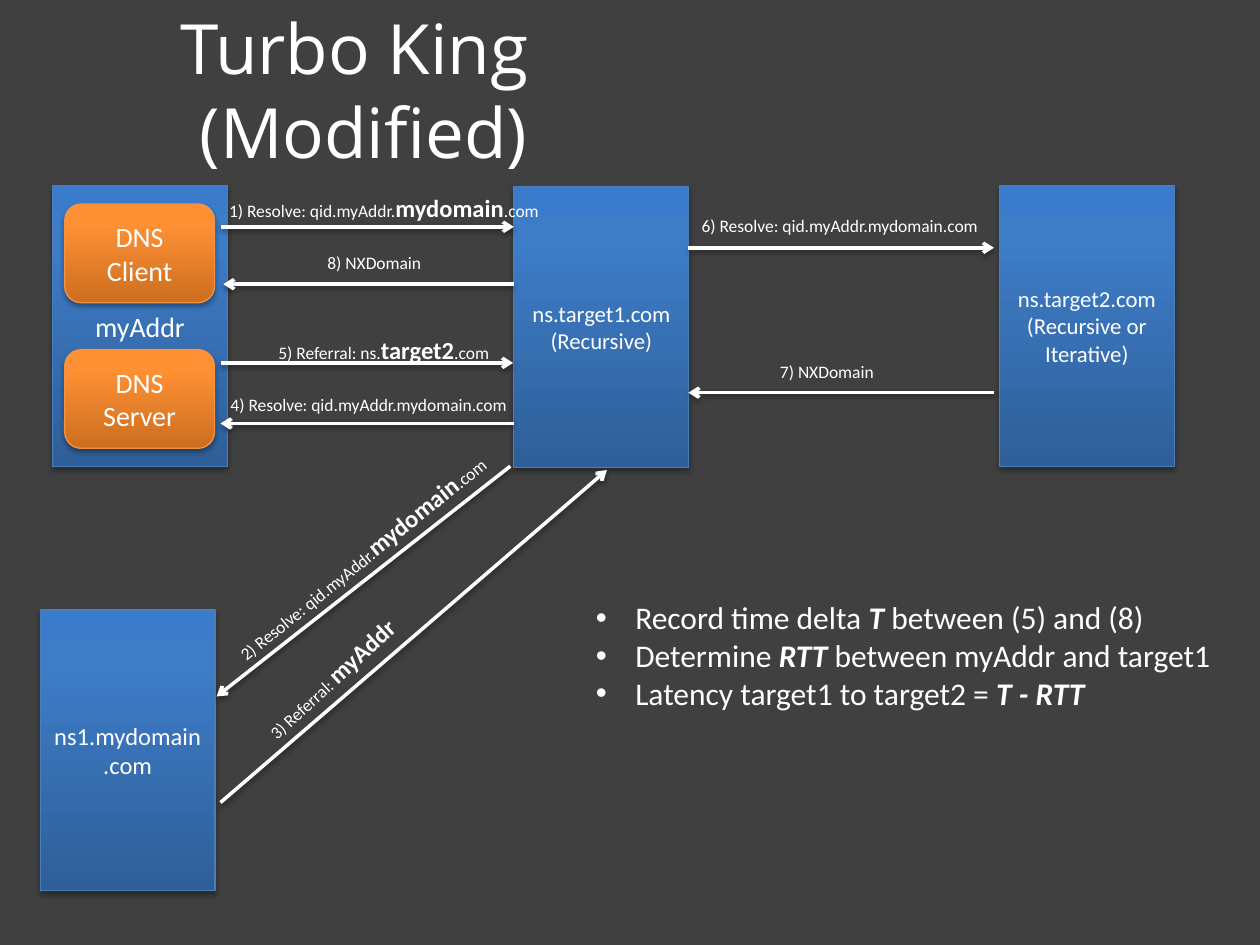
from copy import deepcopy

from lxml import etree
from pptx import Presentation
from pptx import util as u
from pptx.dml.color import RGBColor
from pptx.enum import shapes, text
from pptx.oxml.ns import qn

COLORS = {"back": "404040", "white": "FFFFFF", "shadow": "000000",
          "host edge": "4B7EBC", "service edge": "F69240"}
GRADIENTS = {
    "host": ((0, "2F5F99"), (0.8, "3D7CC7"), (1, "3A7CCB")),
    "service": ((0, "CC6E20"), (0.8, "FF9034"), (1, "FF9136")),
}
FONT = "Calibri"
TITLE = "Turbo King  (Modified)"
TITLE_BOX = (2.2, 21.6, 411, 58.3)
HOST_SIZE, SERVICE_SIZE = (100, 160.5), (85.6, 56.4)

# kind, left, top, text size, lines
NODES = [
    ("host", 30, 106, 16, ["myAddr"]),
    ("service", 37, 116.6, 16, ["DNS Client"]),
    ("service", 37, 199.8, 16, ["DNS Server"]),
    ("host", 293.6, 106.6, 13, ["ns.target1.com", "(Recursive)"]),
    ("host", 571, 106, 13, ["ns.target2.com", "(Recursive or Iterative)"]),
    ("host", 23, 348.6, 14, ["ns1.mydomain.com"]),
]

# arrow start, arrow end, label left and top, label rotation, (text, style) runs
MESSAGES = [
    ((126, 129.6), (293.6, 129.6), (123.8, 106.6), 0,
     [("1) Resolve: qid.myAddr.", ""), ("mydomain", "b"), (".com", "")]),
    ((291.6, 266.4), (123.8, 398), (108, 298), -38.8,
     [("2) Resolve: qid.myAddr.", ""), ("mydomain", "b"), (".com", "")]),
    ((126, 458.6), (346.8, 268.6), (121, 338.4), -42.4,
     [("3) Referral: ", ""), ("myAddr", "b")]),
    ((293.6, 242), (126, 242), (124.6, 221.8), 0,
     [("4) Resolve: qid.myAddr.mydomain.com", "")]),
    ((126, 207.4), (293.2, 207.4), (152, 188), 0,
     [("5) Referral: ns.", ""), ("target2", "b"), (".com", "")]),
    ((393.4, 141.6), (568, 141.6), (393.8, 119.6), 0,
     [("6) Resolve: qid.myAddr.mydomain.com", "")]),
    ((568, 224.4), (393.4, 224.4), (438.6, 203), 0, [("7) NXDomain", "")]),
    ((293.6, 162.4), (127.6, 162.4), (180, 140.4), 0, [("8) NXDomain", "")]),
]
LABEL_WIDTH, LABEL_HEIGHT, STRONG_HEIGHT = 218, 19.4, 24.4
LABEL_SIZE, STRONG_SIZE = 10, 14

METHOD_BOX = (333.4, 338.4, 381, 116.6)
METHOD = [
    [("Record time delta ", ""), ("T", "bi"), (" between (5) and (8)", "")],
    [("Determine ", ""), ("RTT ", "bi"), ("between myAddr and target1", "")],
    [("Latency target1 to target2 = ", ""), ("T - RTT", "bi")],
]


def rgb(name):
    """Colour from a name in COLORS or from a hex string."""
    return RGBColor.from_string(COLORS.get(name, name))


def points(*lengths):
    """Convert numbers to point lengths."""
    return [u.Pt(length) for length in lengths]


def add_run(paragraph, words, size, style="", font=FONT):
    """Add one white run; style holds b for bold and i for italic."""
    run = paragraph.add_run()
    run.text = words
    run.font.name, run.font.size = font, u.Pt(size)
    run.font.bold, run.font.italic = "b" in style, "i" in style
    run.font.color.rgb = rgb("white")


def paragraphs(frame, count):
    """Return count paragraphs of a wrapped text frame."""
    frame.word_wrap = True
    return [frame.paragraphs[0]] + [frame.add_paragraph() for _ in range(count - 1)]


def add_shadow(part, opacity, distance):
    """Give a shape or connector a soft shadow falling straight down."""
    properties = part._element.spPr
    effects = properties.find(qn("a:effectLst"))
    if effects is None:
        effects = etree.SubElement(properties, qn("a:effectLst"))
    outer = etree.SubElement(effects, qn("a:outerShdw"), blurRad=str(u.Pt(3.1)),
                             dist=str(u.Pt(distance)), dir="5400000", rotWithShape="0")
    color = etree.SubElement(outer, qn("a:srgbClr"), val=COLORS["shadow"])
    etree.SubElement(color, qn("a:alpha"), val=str(opacity * 1000))


def fill_gradient(node, stops):
    """Fill a node with a three-stop gradient that runs upwards."""
    node.fill.gradient()
    node.fill.gradient_angle = 90
    stop_list = node._element.spPr.find(qn("a:gradFill")).find(qn("a:gsLst"))
    stop_list.append(deepcopy(stop_list[-1]))
    for stop, (position, color) in zip(node.fill.gradient_stops, stops):
        stop.position, stop.color.rgb = position, rgb(color)


def add_node(slide, kind, left, top, size, lines):
    """Draw a host or a service with centred text."""
    outline, extent = {
        "host": (shapes.MSO_SHAPE.RECTANGLE, HOST_SIZE),
        "service": (shapes.MSO_SHAPE.ROUNDED_RECTANGLE, SERVICE_SIZE),
    }[kind]
    node = slide.shapes.add_shape(outline, *points(left, top, *extent))
    fill_gradient(node, GRADIENTS[kind])
    node.line.color.rgb, node.line.width = rgb(kind + " edge"), u.Pt(0.75)
    node.shadow.inherit = False
    add_shadow(node, 35, 1.8)
    node.text_frame.vertical_anchor = text.MSO_ANCHOR.MIDDLE
    for paragraph, line in zip(paragraphs(node.text_frame, len(lines)), lines):
        paragraph.alignment = text.PP_ALIGN.CENTER
        add_run(paragraph, line, size)


def add_message(slide, start, end, corner, rotation, runs):
    """Draw a message arrow and its label."""
    arrow = slide.shapes.add_connector(shapes.MSO_CONNECTOR.STRAIGHT, *points(*start, *end))
    arrow.line.color.rgb, arrow.line.width = rgb("white"), u.Pt(2)
    etree.SubElement(arrow._element.spPr.find(qn("a:ln")), qn("a:tailEnd"), type="arrow")
    add_shadow(arrow, 38, 1.6)
    height = STRONG_HEIGHT if any(style for _, style in runs) else LABEL_HEIGHT
    label = slide.shapes.add_textbox(*points(*corner, LABEL_WIDTH, height))
    label.rotation = rotation
    paragraph, = paragraphs(label.text_frame, 1)
    for words, style in runs:
        add_run(paragraph, words, STRONG_SIZE if style else LABEL_SIZE, style)


def add_method(slide):
    """Write the bulleted measuring method."""
    method = slide.shapes.add_textbox(*points(*METHOD_BOX))
    for paragraph, runs in zip(paragraphs(method.text_frame, len(METHOD)), METHOD):
        properties = paragraph._p.get_or_add_pPr()
        properties.set("marL", str(u.Pt(22.5)))
        properties.set("indent", str(-u.Pt(22.5)))
        etree.SubElement(properties, qn("a:buFont"), typeface="Arial")
        etree.SubElement(properties, qn("a:buChar"), char="•")
        for words, style in runs:
            add_run(paragraph, words, 18, style)


def add_title(slide):
    """Place and format the title placeholder."""
    title = slide.shapes.title
    title.left, title.top, title.width, title.height = points(*TITLE_BOX)
    title.text_frame.vertical_anchor = text.MSO_ANCHOR.MIDDLE
    title.text_frame.auto_size = text.MSO_AUTO_SIZE.NONE
    paragraph, = paragraphs(title.text_frame, 1)
    paragraph.alignment = text.PP_ALIGN.CENTER
    add_run(paragraph, TITLE, 39.6, font="Open Sans")


deck = Presentation()
deck.slide_width, deck.slide_height = points(720, 540)
slide = deck.slides.add_slide(deck.slide_layouts[5])
slide.background.fill.solid()
slide.background.fill.fore_color.rgb = rgb("back")
add_title(slide)
for node in NODES:
    add_node(slide, *node)
for message in MESSAGES:
    add_message(slide, *message)
add_method(slide)
deck.save("out.pptx")
